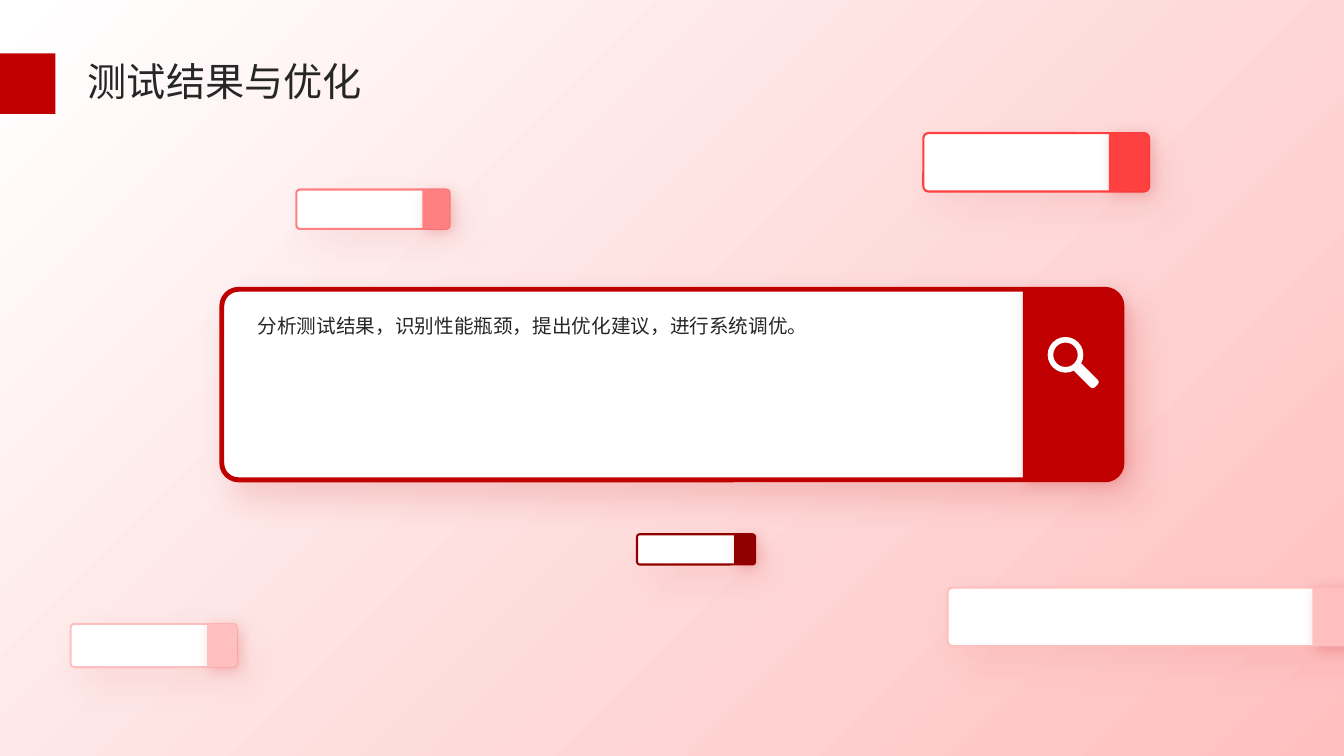
from collections import namedtuple

from lxml import etree
from pptx import Presentation, util as u
from pptx.dml.color import RGBColor
from pptx.enum import shapes, text
from pptx.oxml import ns

WHITE = RGBColor(0xFF, 0xFF, 0xFF)
INK = RGBColor(0x26, 0x26, 0x26)
RED = RGBColor(0xC0, 0x00, 0x00)
DARK_RED = RGBColor(0x90, 0x00, 0x00)
BRIGHT_RED = RGBColor(0xFF, 0x40, 0x40)
CORAL = RGBColor(0xFF, 0x80, 0x80)
PINK = RGBColor(0xFF, 0xBF, 0xBF)
FONT = "Noto Sans CJK SC"
WIDTH, HEIGHT = u.Inches(13.333), u.Inches(7.5)
KIND = shapes.MSO_SHAPE

Box = namedtuple("Box", "left top width height")
Shadow = namedtuple("Shadow", "alpha blur distance angle")
TAB_SHADOW = Shadow(20, 10, 3, 45)

SMALL_BARS = [
    ((22.05, 25.07, 11.4, 5.2), CORAL),
    ((47.4, 70.67, 8.78, 4), DARK_RED),
    ((68.7, 17.6, 16.8, 7.73), BRIGHT_RED),
    ((70.5, 77.73, 30.15, 7.73), PINK),
    ((5.25, 82.53, 12.38, 5.73), PINK),
]


def inside(box, left, top, width, height):
    return Box(int(box.left + box.width * left), int(box.top + box.height * top),
               int(box.width * width), int(box.height * height))


def on_page(left, top, width, height):
    page_box = Box(0, 0, WIDTH, HEIGHT)
    return inside(page_box, left / 100, top / 100, width / 100, height / 100)


def set_format(target, values):
    for name, value in values.items():
        setattr(target, name, value)


def add_shadow(shape, shadow):
    effects = shape.element.spPr.find(ns.qn("a:effectLst"))
    outer = etree.SubElement(effects, ns.qn("a:outerShdw"), {
        "blurRad": str(u.Pt(shadow.blur)), "dist": str(u.Pt(shadow.distance)),
        "dir": str(shadow.angle * 60000), "algn": "ctr", "rotWithShape": "0"})
    color = etree.SubElement(outer, ns.qn("a:srgbClr"), val=str(RED))
    etree.SubElement(color, ns.qn("a:alpha"), val=str(shadow.alpha * 1000))


def add_shape(page, kind, box, fill, adjust=None, rotation=0, shadow=None):
    shape = page.shapes.add_shape(kind, *box)
    shape.shadow.inherit = False
    shape.fill.solid()
    shape.fill.fore_color.rgb = fill
    shape.line.fill.background()
    shape.rotation = rotation
    if adjust is not None:
        shape.adjustments[0] = adjust
    if shadow:
        add_shadow(shape, shadow)
    return shape


def write_text(shape, words, size, anchor):
    frame = shape.text_frame
    set_format(frame, {
        "margin_left": 0, "margin_right": 0, "margin_top": 0, "margin_bottom": 0,
        "word_wrap": True, "auto_size": text.MSO_AUTO_SIZE.NONE,
        "vertical_anchor": anchor})
    para = frame.paragraphs[0]
    para.alignment = text.PP_ALIGN.LEFT
    span = para.add_run()
    span.text = words
    set_format(span.font, {"name": FONT, "size": u.Pt(size)})
    span.font.color.rgb = INK
    etree.SubElement(span.font._element, ns.qn("a:ea"), typeface=FONT)


def add_bar(page, box, color, weight, tab_ratio, alpha):
    panel = add_shape(page, KIND.ROUNDED_RECTANGLE, box, WHITE, 0.088,
                      shadow=Shadow(alpha, 25, 15, 50))
    panel.line.color.rgb = color
    panel.line.width = u.Pt(weight)
    tab_width = int(box.height * tab_ratio)
    tab = Box(box.left + box.width - tab_width, box.top, tab_width, box.height)
    shift = (tab.height - tab.width) // 2
    upright = Box(tab.left - shift, tab.top + shift, tab.height, tab.width)
    add_shape(page, KIND.ROUND_2_SAME_RECTANGLE, upright, color, 0.1 / tab_ratio,
              rotation=90, shadow=TAB_SHADOW)
    return tab


def add_magnifier(page, tab):
    lens = inside(tab, 0.25, 0.25, 0.36, 0.36 * tab.width / tab.height)
    add_shape(page, KIND.DONUT, lens, WHITE, 0.157)
    handle = inside(lens, 0.63, 0.92, 0.86, 0.29)
    add_shape(page, KIND.ROUNDED_RECTANGLE, handle, WHITE, 0.3, rotation=45)


def add_search_panel(page, box):
    tab = add_bar(page, box, RED, 3.5, 0.52, 15)
    add_magnifier(page, tab)
    body = page.shapes.add_textbox(*inside(box, 0.04, 0.13, 0.82, 0.74))
    write_text(body, "分析测试结果，识别性能瓶颈，提出优化建议，进行系统调优。", 14,
               text.MSO_ANCHOR.TOP)


def add_heading(page, box):
    title = page.shapes.title
    set_format(title, box._asdict())
    write_text(title, "测试结果与优化", 28, text.MSO_ANCHOR.MIDDLE)
    add_shape(page, KIND.RECTANGLE, on_page(0, 7.07, 4.13, 8), RED)


def paint_background(page):
    fill = page.background.fill
    fill.gradient()
    fill.gradient_angle = 315
    for stop, color in zip(fill.gradient_stops, (WHITE, PINK)):
        stop.color.rgb = color


def main():
    deck = Presentation()
    set_format(deck, {"slide_width": WIDTH, "slide_height": HEIGHT})
    page = deck.slides.add_slide(deck.slide_layouts.get_by_name("Title Only"))
    paint_background(page)
    add_heading(page, on_page(6.53, 7.33, 89.1, 6.8))
    add_search_panel(page, on_page(16.5, 38.27, 66.98, 25.2))
    for place, color in SMALL_BARS:
        add_bar(page, on_page(*place), color, 1.5, 0.69, 5)
    deck.save("out.pptx")


if __name__ == "__main__":
    main()
